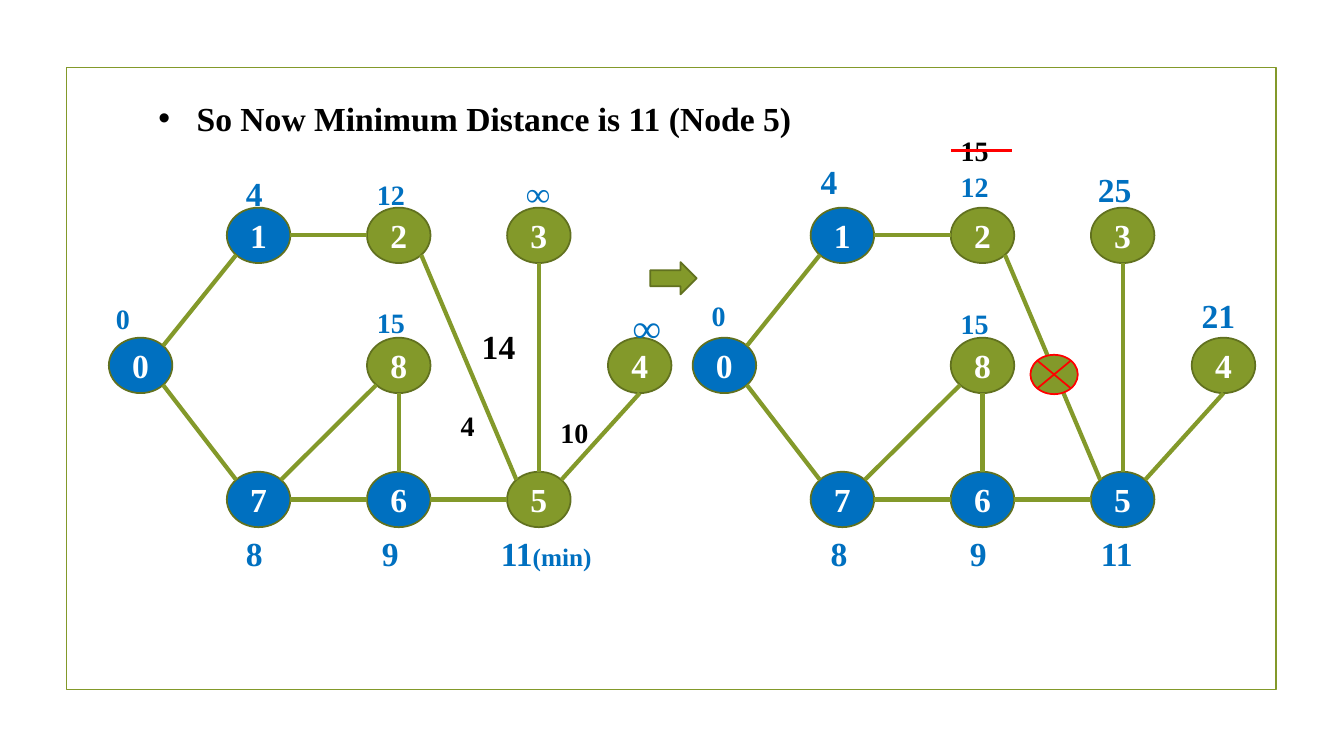
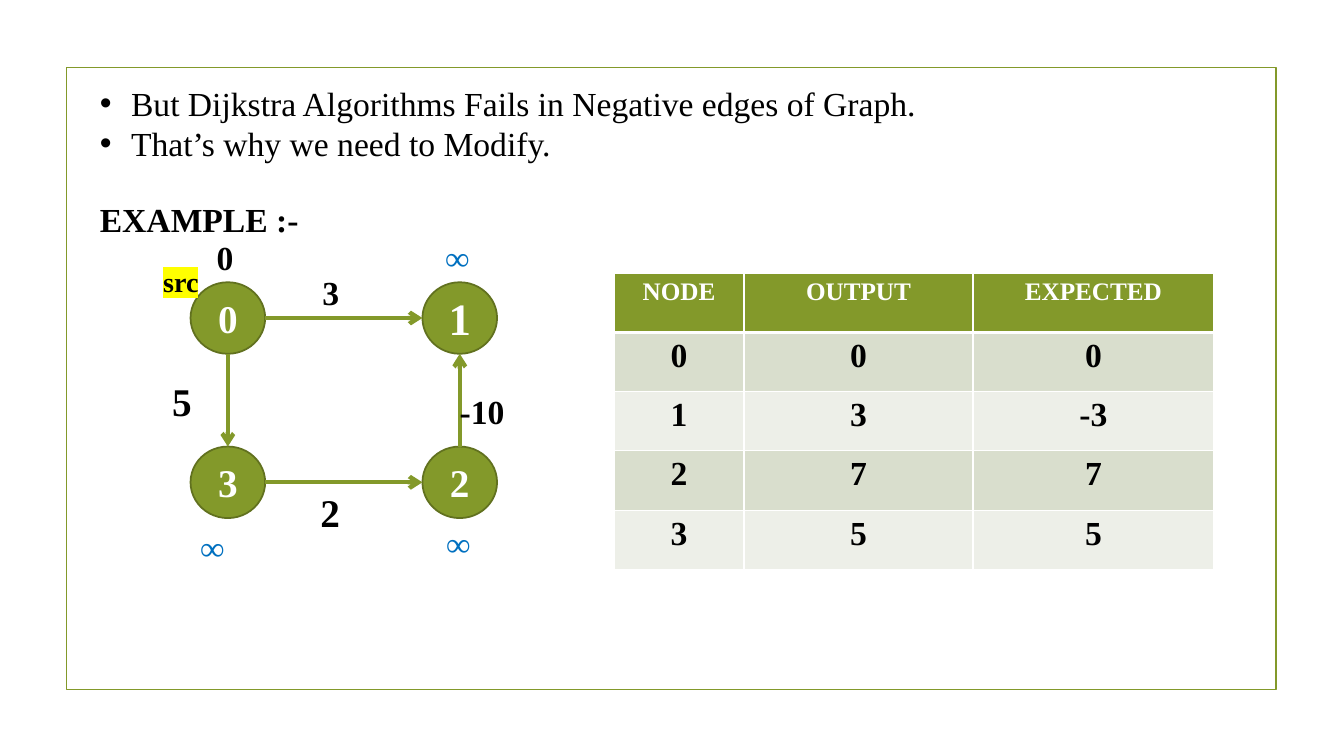
import math
from typing import NamedTuple

import lxml.etree
import pptx
import pptx.chart
import pptx.dml.color
import pptx.enum.shapes
import pptx.enum.text
import pptx.oxml.ns
import pptx.util

Inches = pptx.util.Inches
Pt = pptx.util.Pt
MSO_SHAPE = pptx.enum.shapes.MSO_SHAPE
PP_ALIGN = pptx.enum.text.PP_ALIGN
MSO_ANCHOR = pptx.enum.text.MSO_ANCHOR
qn = pptx.oxml.ns.qn

FONT = "Times New Roman"
GREEN, DARK_GREEN, BLUE = "83992A", "61711F", "0070C0"
BLACK, WHITE, RED, YELLOW = "000000", "FFFFFF", "FF0000", "FFFF00"
BANDS = ("EDEFE8", "D9DECD")

TOP, LEFT, BOTTOM_LEFT, BOTTOM, BOTTOM_RIGHT, RIGHT, TOP_RIGHT = 0, 2, 3, 4, 5, 6, 7
TOP_LEFT = 1


class Node(NamedTuple):
    name: str
    x: float
    y: float
    size: int = 24


class Edge(NamedTuple):
    start: str
    start_site: int
    end: str
    end_site: int


class Label(NamedTuple):
    text: str
    x: float
    y: float
    size: int = 24
    color: str = BLUE
    width: float = 0.7
    suffix: str = ""
    highlight: str = ""


COLS = (1.08, 2.25, 3.64, 5.03, 6.03)
ROWS = (2.06, 3.35, 4.68)
GRAPH_SHIFT = 5.79
PATH_NODES = [
    Node("0", COLS[0], ROWS[1]),
    Node("1", COLS[1], ROWS[0]),
    Node("2", COLS[2], ROWS[0]),
    Node("3", COLS[3], ROWS[0]),
    Node("4", COLS[4], ROWS[1]),
    Node("5", COLS[3], ROWS[2]),
    Node("6", COLS[2], ROWS[2]),
    Node("7", COLS[1], ROWS[2]),
    Node("8", COLS[2], ROWS[1]),
]
PATH_EDGES = [
    Edge("0", TOP_RIGHT, "1", BOTTOM_LEFT),
    Edge("1", RIGHT, "2", LEFT),
    Edge("0", BOTTOM_RIGHT, "7", TOP_LEFT),
    Edge("8", BOTTOM, "6", TOP),
    Edge("7", RIGHT, "6", LEFT),
    Edge("6", RIGHT, "5", LEFT),
    Edge("5", TOP_RIGHT, "4", BOTTOM),
    Edge("7", TOP_RIGHT, "8", BOTTOM_LEFT),
    Edge("3", BOTTOM, "5", TOP),
    Edge("2", BOTTOM_RIGHT, "5", TOP_LEFT),
]
PATH_LABELS = [
    Label("0", 1.05, 2.94, 20),
    Label("4", 2.34, 1.67),
    Label("8", 2.34, 5.24),
    Label("12", 3.64, 1.71, 20),
    Label("15", 3.64, 2.98, 20),
    Label("9", 3.69, 5.24),
    Label("11", 4.87, 5.24, width=1.36, suffix="(min)"),
    Label("∞", 5.12, 1.67),
    Label("∞", 6.18, 2.96, 28),
    Label("14", 4.68, 3.18, 24, BLACK),
    Label("4", 4.47, 4, 20, BLACK),
    Label("10", 5.46, 4.07, 20, BLACK),
    Label("0", 6.96, 2.91, 20),
    Label("4", 8.04, 1.55),
    Label("8", 8.14, 5.24),
    Label("12", 9.43, 1.63, 20),
    Label("15", 9.43, 2.99, 20),
    Label("9", 9.52, 5.24),
    Label("11", 10.82, 5.24),
    Label("21", 11.82, 2.88),
    Label("25", 10.79, 1.63),
    Label("15", 9.43, 1.27, 20, BLACK),
]
SQUARE_NODES = [
    Node("0", 1.89, 2.8, 28),
    Node("1", 4.19, 2.8, 32),
    Node("2", 4.19, 4.43, 28),
    Node("3", 1.89, 4.43, 28),
]
SQUARE_EDGES = [
    Edge("0", RIGHT, "1", LEFT),
    Edge("0", BOTTOM, "3", TOP),
    Edge("3", RIGHT, "2", LEFT),
    Edge("2", TOP, "1", BOTTOM),
]
SQUARE_LABELS = [
    Label("3", 3.1, 2.65, 24, BLACK),
    Label("2", 3.08, 4.79, 28, BLACK),
    Label("5", 1.61, 3.69, 28, BLACK),
    Label("-10", 4.46, 3.83, 24, BLACK, 0.98),
    Label("src", 1.52, 2.57, 20, BLACK, 0.73, highlight=YELLOW),
    Label("0", 2.05, 2.3, 24, BLACK),
    Label("∞", 4.32, 2.3),
    Label("∞", 1.89, 5.18),
    Label("∞", 4.33, 5.14),
]
RESULTS = [
    ("NODE", "OUTPUT", "EXPECTED"),
    ("0", "0", "0"),
    ("1", "3", "-3"),
    ("2", "7", "7"),
    ("3", "5", "5"),
]


def rgb(color: str) -> pptx.dml.color.RGBColor:
    return pptx.dml.color.RGBColor.from_string(color)


def add_run(p, text: str, size: int, color: str = BLACK, bold: bool = True):
    r = p.add_run()
    r.text = text
    r.font.name = FONT
    r.font.size = Pt(size)
    r.font.bold = bold
    r.font.color.rgb = rgb(color)
    return r


def add_shape(s, kind, x: float, y: float, w: float, h: float,
              fill: str = "", line: str = DARK_GREEN):
    sp = s.shapes.add_shape(kind, Inches(x), Inches(y), Inches(w), Inches(h))
    sp.shadow.inherit = False
    if fill:
        sp.fill.solid()
        sp.fill.fore_color.rgb = rgb(fill)
    else:
        sp.fill.background()
    sp.line.color.rgb = rgb(line)
    sp.line.width = Pt(1.25)
    return sp


def add_line(s, start, end, color: str = GREEN, width: float = 3, arrow: bool = False):
    points = [Inches(v) for v in (*start, *end)]
    c = s.shapes.add_connector(pptx.enum.shapes.MSO_CONNECTOR.STRAIGHT, *points)
    c.line.color.rgb = rgb(color)
    c.line.width = Pt(width)
    if arrow:
        lxml.etree.SubElement(c.line._get_or_add_ln(), qn("a:tailEnd"), type="arrow")
    lxml.etree.SubElement(c.element.spPr, qn("a:effectLst"))
    return c


def add_graph(s, nodes: list[Node], edges: list[Edge], w: float, h: float,
              visited: str = "", shift: float = 0, arrow: bool = False) -> None:
    shapes = {}
    for n in nodes:
        fill = BLUE if n.name in visited else GREEN
        sp = add_shape(s, MSO_SHAPE.OVAL, n.x + shift, n.y, w, h, fill)
        sp.text_frame.vertical_anchor = MSO_ANCHOR.MIDDLE
        p = sp.text_frame.paragraphs[0]
        p.alignment = PP_ALIGN.CENTER
        add_run(p, n.name, n.size, WHITE)
        shapes[n.name] = sp
    centers = {n.name: (n.x + shift + w / 2, n.y + h / 2) for n in nodes}

    def site_point(name: str, site: int) -> tuple[float, float]:
        x, y = centers[name]
        angle = math.radians(90 + 45 * site)
        return x + w / 2 * math.cos(angle), y - h / 2 * math.sin(angle)

    for e in edges:
        c = add_line(s, site_point(e.start, e.start_site),
                     site_point(e.end, e.end_site), arrow=arrow)
        props = c.element.nvCxnSpPr.cNvCxnSpPr
        for tag, name, site in (("a:stCxn", e.start, e.start_site),
                                ("a:endCxn", e.end, e.end_site)):
            lxml.etree.SubElement(props, qn(tag), id=str(shapes[name].shape_id),
                                  idx=str(site))


def add_label(s, label: Label) -> None:
    sp = s.shapes.add_textbox(Inches(label.x), Inches(label.y), Inches(label.width),
                              Inches(0.1 + label.size / 60))
    sp.text_frame.word_wrap = True
    p = sp.text_frame.paragraphs[0]
    r = add_run(p, label.text, label.size, label.color)
    if label.highlight:
        mark = lxml.etree.Element(qn("a:highlight"))
        lxml.etree.SubElement(mark, qn("a:srgbClr"), val=label.highlight)
        r.font.fill._xPr.find(qn("a:solidFill")).addnext(mark)
    if label.suffix:
        add_run(p, label.suffix, 18, label.color)


def fill_placeholder(sp, lines: list[str], x: float, y: float, w: float, h: float,
                     bold: bool = True, indent: float = 0) -> None:
    sp.left, sp.top, sp.width, sp.height = (Inches(v) for v in (x, y, w, h))
    tf = sp.text_frame
    tf.word_wrap = True
    tf.auto_size = pptx.enum.text.MSO_AUTO_SIZE.NONE
    tf.vertical_anchor = MSO_ANCHOR.TOP
    for i, line in enumerate(lines):
        p = tf.add_paragraph() if i else tf.paragraphs[0]
        p.alignment = PP_ALIGN.LEFT
        p.space_before = Pt(0)
        add_run(p, line, 24, bold=bold)
        if indent:
            pPr = p._p.get_or_add_pPr()
            pPr.set("marL", str(Inches(indent)))
            pPr.set("indent", str(-Inches(indent)))
            lxml.etree.SubElement(pPr, qn("a:buFont"), typeface="Arial")
            lxml.etree.SubElement(pPr, qn("a:buChar"), char="•")


def set_borders(cell, row: int) -> None:
    tcPr = cell._tc.get_or_add_tcPr()
    widths = {"L": 1, "R": 1, "T": 3 if row == 1 else 1, "B": 3 if row == 0 else 1}
    for side, width in widths.items():
        ln = lxml.etree.SubElement(tcPr, qn(f"a:ln{side}"), w=str(Pt(width)))
        fill = lxml.etree.SubElement(ln, qn("a:solidFill"))
        lxml.etree.SubElement(fill, qn("a:srgbClr"), val=WHITE)


def add_results(s) -> None:
    table = s.shapes.add_table(len(RESULTS), 3, Inches(6.09), Inches(2.71),
                               Inches(5.95), Inches(2.94)).table
    for col, width in zip(table.columns, (1.29, 2.27, 2.39)):
        col.width = Inches(width)
    for i, values in enumerate(RESULTS):
        for j, value in enumerate(values):
            cell = table.cell(i, j)
            set_borders(cell, i)
            cell.fill.solid()
            cell.fill.fore_color.rgb = rgb(BANDS[i % 2] if i else GREEN)
            p = cell.text_frame.paragraphs[0]
            p.alignment = PP_ALIGN.CENTER
            add_run(p, value, 24 if i else 18, BLACK if i else WHITE)


def move_to_master(prs, sp) -> None:
    sp.element.nvSpPr.cNvPr.set("id", "20")
    prs.slide_master.shapes.element.append(sp.element)


def build_path_slide(s) -> None:
    fill_placeholder(s.shapes.title, ["So Now Minimum Distance is 11 (Node 5)"],
                     1.47, 0.92, 6.78, 0.5, indent=0.38)
    for visited, shift in (("0167", 0), ("01567", GRAPH_SHIFT)):
        add_graph(s, PATH_NODES, PATH_EDGES, 0.63, 0.55, visited, shift)
    for label in PATH_LABELS:
        add_label(s, label)
    add_line(s, (9.43, 1.49), (10.04, 1.49), RED, 2.25)
    add_shape(s, MSO_SHAPE.FLOWCHART_SUMMING_JUNCTION, 10.22, 3.52, 0.47, 0.39, GREEN, RED)
    add_shape(s, MSO_SHAPE.RIGHT_ARROW, 6.45, 2.6, 0.46, 0.32, GREEN)


def build_negative_edge_slide(s) -> None:
    fill_placeholder(s.placeholders[1],
                     ["But Dijkstra Algorithms Fails in Negative edges of Graph.",
                      "That’s why we need to Modify."],
                     0.89, 0.77, 10.83, 0.9, bold=False, indent=0.31)
    fill_placeholder(s.shapes.title, ["EXAMPLE :-"], 0.89, 1.92, 4, 0.5)
    add_graph(s, SQUARE_NODES, SQUARE_EDGES, 0.74, 0.71, arrow=True)
    for label in SQUARE_LABELS:
        add_label(s, label)
    add_results(s)


def main() -> None:
    prs = pptx.Presentation()
    prs.slide_width, prs.slide_height = Inches(13.33), Inches(7.5)
    s = prs.slides.add_slide(prs.slide_layouts[5])
    move_to_master(prs, add_shape(s, MSO_SHAPE.RECTANGLE, 0.66, 0.67, 12, 6.17, line=GREEN))
    build_path_slide(s)
    build_negative_edge_slide(prs.slides.add_slide(prs.slide_layouts[1]))
    prs.save("out.pptx")


if __name__ == "__main__":
    main()
